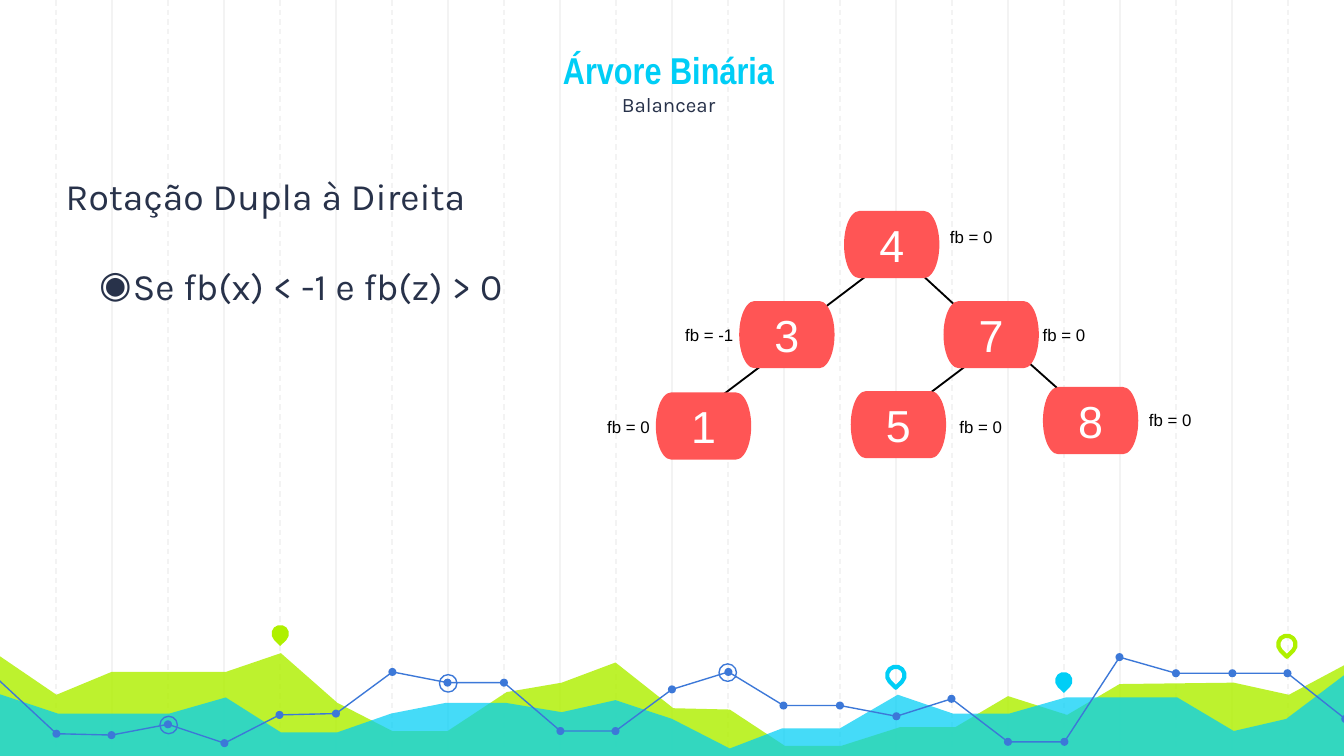
"""Builds a slide on double right rotation in a balanced binary tree."""
from lxml.etree import SubElement
from pptx import Presentation
from pptx.dml.color import RGBColor
from pptx.enum.dml import MSO_LINE
from pptx.enum.shapes import MSO_CONNECTOR, MSO_SHAPE as SHAPE
from pptx.enum.text import MSO_ANCHOR as ANCHOR, PP_ALIGN as ALIGN
from pptx.oxml.ns import qn
from pptx.util import Inches, Pt

COLORS = {"grid": "F3F3F3", "lime": "AFF000", "cyan": "00CEF6", "trend": "3C78D8",
          "navy": "28324A", "node": "FF5555", "black": "000000", "white": "FFFFFF"}

TITLE, SUBTITLE = "Árvore Binária", "Balancear"
HEADING, CONDITION = "Rotação Dupla à Direita", "Se fb(x) < -1 e fb(z) > 0"

NODES = [("4", 6.28, 1.57), ("3", 5.5, 2.24), ("7", 7.02, 2.24),
         ("8", 7.76, 2.88), ("5", 6.33, 2.91), ("1", 4.88, 2.92)]
EDGES = [(7.23, 2.69, 6.82, 3), (7.6, 2.65, 7.97, 2.98), (5.68, 2.71, 5.27, 3.02),
         (6.8, 1.99, 7.17, 2.33), (6.49, 2.02, 6.08, 2.33)]
BALANCES = [("fb = 0", 6.97, 1.64), ("fb = 0", 7.66, 2.37), ("fb = 0", 7.04, 3.05),
            ("fb = -1", 5, 2.37), ("fb = 0", 4.42, 3.05), ("fb = 0", 8.45, 3)]

LIME_AREA = [(-0.02, 4.87), (0.42, 5.17), (0.83, 5), (1.68, 5), (2.09, 4.86), (2.51, 5.23),
             (2.92, 5.44), (3.33, 5.44), (3.77, 5.15), (4.18, 5.08), (4.58, 4.93),
             (5.01, 5.27), (5.43, 5.28), (5.84, 5.55), (6.26, 5.55), (6.7, 5.41),
             (7.11, 5.41), (7.5, 5.18), (7.94, 5.32), (8.33, 5.09), (9.18, 5.08),
             (9.59, 5.17), (10.02, 4.94), (10.01, 5.64), (-0.03, 5.64)]
CYAN_AREA = [(-0.02, 5.16), (0.43, 5.31), (1.26, 5.31), (1.68, 5.19), (2.09, 5.45),
             (2.51, 5.45), (2.91, 5.31), (3.32, 5.23), (3.76, 5.23), (4.18, 5.3),
             (4.58, 5.21), (5, 5.35), (5.43, 5.57), (5.82, 5.42), (6.25, 5.42),
             (6.68, 5.17), (7.09, 5.31), (7.51, 5.31), (7.93, 5.19), (8.76, 5.19),
             (9.18, 5.44), (9.57, 5.35), (10.02, 5.01), (10.02, 5.65), (-0.03, 5.65)]
TREND = [(-0.01, 5.06), (0.42, 5.46), (0.83, 5.47), (1.25, 5.39), (1.67, 5.53), (2.08, 5.32),
         (2.5, 5.31), (2.92, 5), (3.33, 5.08), (3.75, 5.08), (4.17, 5.44), (4.58, 5.44),
         (5, 5.13), (5.42, 5), (5.83, 5.25), (6.25, 5.25), (6.67, 5.33), (7.08, 5.2),
         (7.5, 5.52), (7.92, 5.52), (8.33, 4.89), (8.75, 5.01), (9.17, 5.01),
         (9.58, 5.01), (10.01, 5.35)]
TREND_PARTS = [(0, 11), (11, 20), (20, 24)]
RINGS = [(3.27, 5.02), (1.19, 5.33), (5.35, 4.94)]
PINS = [(2.02, 4.65, "lime", True), (6.6, 4.96, "cyan", False),
        (7.85, 5, "cyan", True), (9.51, 4.73, "lime", False)]
GRID_COLUMNS = 24
DOT, MARKER = 0.06, 0.13

prs = Presentation()
prs.slide_width = Inches(10)
prs.slide_height = prs.slide_width * 9 // 16
slide = prs.slides.add_slide(prs.slide_layouts[6])
shapes = slide.shapes


def rgb(name):
    return RGBColor.from_string(COLORS[name])


def paint(shape, fill=None, line=None, width=0.75, alpha=None):
    shape.shadow.inherit = False
    if fill:
        shape.fill.solid()
        shape.fill.fore_color.rgb = rgb(fill)
        if alpha:
            color = shape._element.spPr.find(qn("a:solidFill"))[0]
            SubElement(color, qn("a:alpha"), val=str(alpha * 1000))
    else:
        shape.fill.background()
    if line:
        shape.line.color.rgb = rgb(line)
        shape.line.width = Pt(width)
    else:
        shape.line.fill.background()
    return shape


def preset(kind, x, y, w, h, **style):
    return paint(shapes.add_shape(kind, Inches(x), Inches(y), Inches(w), Inches(h)), **style)


def outline(points, close, **style):
    corners = [(Inches(x), Inches(y)) for x, y in points]
    builder = shapes.build_freeform(*corners[0])
    builder.add_line_segments(corners[1:], close=close)
    return paint(builder.convert_to_shape(), **style)


def connect(x1, y1, x2, y2, color, width):
    line = shapes.add_connector(MSO_CONNECTOR.STRAIGHT, *map(Inches, (x1, y1, x2, y2)))
    line.line.color.rgb = rgb(color)
    line.line.width = Pt(width)
    SubElement(line._element.spPr, qn("a:effectLst"))
    return line


def style_run(run, size, font, color, bold=False):
    run.font.size, run.font.name, run.font.bold = Pt(size), font, bold
    run.font.color.rgb = rgb(color)


def text_frame(x, y, w, h, margin=0.05):
    frame = shapes.add_textbox(*map(Inches, (x, y, w, h))).text_frame
    frame.word_wrap = True
    frame.margin_top = frame.margin_bottom = Inches(margin)
    return frame


for column in [*range(2, GRID_COLUMNS, 2), *range(1, GRID_COLUMNS, 2)]:
    x = 10 * column / GRID_COLUMNS
    rule = connect(x, 0, x, 5.65, "grid", 0.75)
    if column % 2:
        rule.line.dash_style = MSO_LINE.DASH

outline(LIME_AREA, True, fill="lime", alpha=82)
outline(CYAN_AREA, True, fill="cyan", alpha=73)
for first, last in TREND_PARTS:
    outline(TREND[first:last + 1], False, line="trend")
for x, y in TREND[1:]:
    preset(SHAPE.OVAL, x - DOT / 2, y - DOT / 2, DOT, DOT, fill="trend")
for x, y in RINGS:
    preset(SHAPE.OVAL, x, y, MARKER, MARKER, line="trend")
for x, y, color, solid in PINS:
    style = {"fill": color} if solid else {"line": color, "width": 2.25}
    pin = preset(SHAPE.TEAR, x, y, MARKER, MARKER, **style)
    pin.adjustments[0] = 1
    pin.rotation = 135

title = text_frame(1.15, 0.19, 7.65, 0.78, 0.1)
title.vertical_anchor = ANCHOR.BOTTOM
title.text = f"{TITLE}\v{SUBTITLE}"
title.paragraphs[0].alignment = ALIGN.CENTER
title_run, subtitle_run = title.paragraphs[0].runs
style_run(title_run, 20, "Arial Narrow", "cyan", True)
style_run(subtitle_run, 11, "Karla", "navy")

body = text_frame(0.39, 1.19, 4.3, 3.38, 0.1)
body.text = f"{HEADING}\n{CONDITION}"
for paragraph in body.paragraphs:
    paragraph.alignment = ALIGN.JUSTIFY
    style_run(paragraph.runs[0], 20, "Karla", "navy")
condition = body.paragraphs[1]
condition.space_before = Pt(24)
bullet = condition._p.get_or_add_pPr()
bullet.set("marL", str(Inches(0.5)))
bullet.set("indent", str(Inches(-0.25)))
SubElement(SubElement(bullet, qn("a:buClr")), qn("a:srgbClr"), val=COLORS["navy"])
SubElement(bullet, qn("a:buFont"), typeface="Karla")
SubElement(bullet, qn("a:buChar"), char="◉")

for edge in EDGES:
    connect(*edge, "black", 1)
for key, x, y in NODES:
    node = preset(SHAPE.FLOWCHART_TERMINATOR, x, y, 0.71, 0.5, fill="node").text_frame
    node.text = key
    node.vertical_anchor = ANCHOR.MIDDLE
    node.paragraphs[0].alignment = ALIGN.CENTER
    style_run(node.paragraphs[0].runs[0], 24, "Arial", "white")
for balance, x, y in BALANCES:
    label = text_frame(x, y, 0.63, 0.25)
    label.text = balance
    style_run(label.paragraphs[0].runs[0], 9, "Arial", "black")

prs.save("out.pptx")
